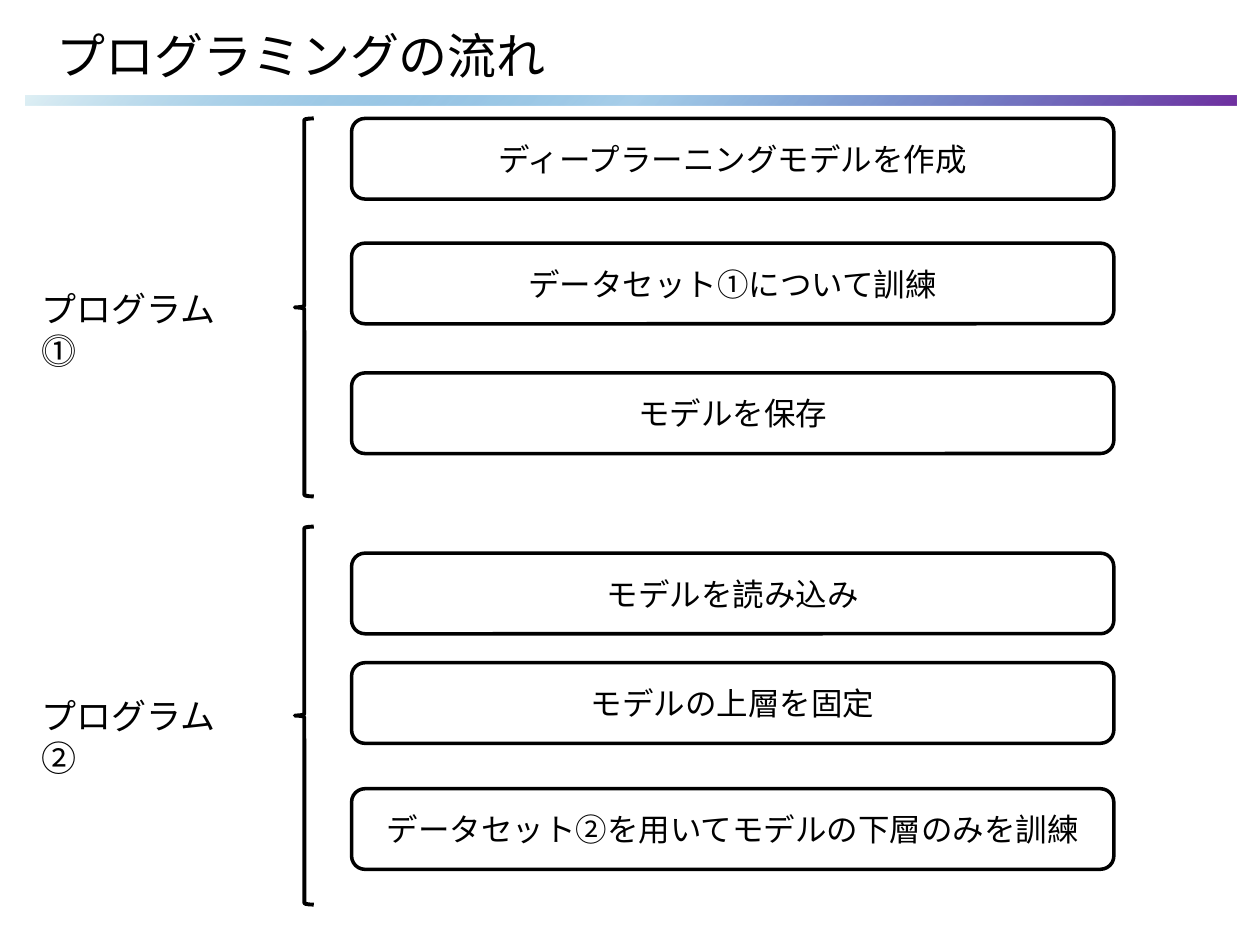
"""Build a slide showing the programming flow as two bracketed groups of steps."""
import pptx
import pptx.dml.color
import pptx.enum.shapes
import pptx.enum.text
import pptx.oxml
import pptx.oxml.ns
import pptx.util

Inches = pptx.util.Inches
Pt = pptx.util.Pt
SHAPE = pptx.enum.shapes.MSO_SHAPE
ANCHOR = pptx.enum.text.MSO_ANCHOR
ALIGN = pptx.enum.text.PP_ALIGN

FONT = "Times New Roman"
COLORS = {
    "ink": "000000",
    "paper": "FFFFFF",
    "bar_start": "DFF0F5",
    "bar_middle": "0070C0",
    "bar_end": "7030A0",
}
PROGRAMS = [
    ("プログラム⓵", 2.23, 0.94, [
        (0.94, "ディープラーニングモデルを作成"),
        (1.93, "データセット①について訓練"),
        (2.96, "モデルを保存"),
    ]),
    ("プログラム②", 5.46, 4.18, [
        (4.39, "モデルを読み込み"),
        (5.26, "モデルの上層を固定"),
        (6.26, "データセット②を用いてモデルの下層のみを訓練"),
    ]),
]


def rgb(name):
    return pptx.dml.color.RGBColor.from_string(COLORS[name])


def write(sp, text, size, anchor, align=ALIGN.LEFT):
    tf = sp.text_frame
    tf.word_wrap = True
    tf.vertical_anchor = anchor
    p = tf.paragraphs[0]
    p.alignment = align
    r = p.add_run()
    r.text = text
    r.font.name = FONT
    r.font.size = Pt(size)
    r.font.color.rgb = rgb("ink")


def add_text(s, box, text, size, anchor=ANCHOR.TOP):
    sp = s.shapes.add_textbox(*map(Inches, box))
    write(sp, text, size, anchor)


def add_outlined(s, kind, box, width):
    sp = s.shapes.add_shape(kind, *map(Inches, box))
    sp.shadow.inherit = False
    sp.fill.background()
    sp.line.color.rgb = rgb("ink")
    sp.line.width = Pt(width)
    return sp


def add_step(s, top, text):
    sp = add_outlined(s, SHAPE.ROUNDED_RECTANGLE, (2.79, top, 6.05, 0.64), 2)
    sp.fill.solid()
    sp.fill.fore_color.rgb = rgb("paper")
    write(sp, text, 18, ANCHOR.MIDDLE, ALIGN.CENTER)


def add_gradient_bar(s, box):
    sp = s.shapes.add_shape(SHAPE.RECTANGLE, *map(Inches, box))
    sp.shadow.inherit = False
    sp.line.fill.background()
    sp.fill.gradient()
    sp.fill.gradient_angle = 315
    stops = sp.fill.gradient_stops
    for stop, position, name in zip(stops, (0, 1), ("bar_start", "bar_end")):
        stop.position = position
        stop.color.rgb = rgb(name)
    middle = pptx.oxml.parse_xml(
        f'<a:gs {pptx.oxml.ns.nsdecls("a")} pos="50000">'
        f'<a:srgbClr val="{COLORS["bar_middle"]}"><a:alpha val="34000"/></a:srgbClr></a:gs>'
    )
    sp.fill._fill._gradFill.gsLst.insert(1, middle)


def add_program(s, label, label_top, brace_top, steps):
    add_outlined(s, SHAPE.LEFT_BRACE, (2.34, brace_top, 0.15, 3), 2.25)
    add_text(s, (0.23, label_top, 1.74, 0.44), label, 20)
    for top, text in steps:
        add_step(s, top, text)


def main():
    prs = pptx.Presentation()
    prs.slide_width, prs.slide_height = Inches(10), Inches(7.5)
    s = prs.slides.add_slide(prs.slide_layouts[6])
    add_gradient_bar(s, (0.2, 0.76, 9.61, 0.08))
    add_text(s, (0.35, 0.13, 9.15, 0.61), "プログラミングの流れ", 28, ANCHOR.MIDDLE)
    for program in PROGRAMS:
        add_program(s, *program)
    prs.save("out.pptx")


if __name__ == "__main__":
    main()
